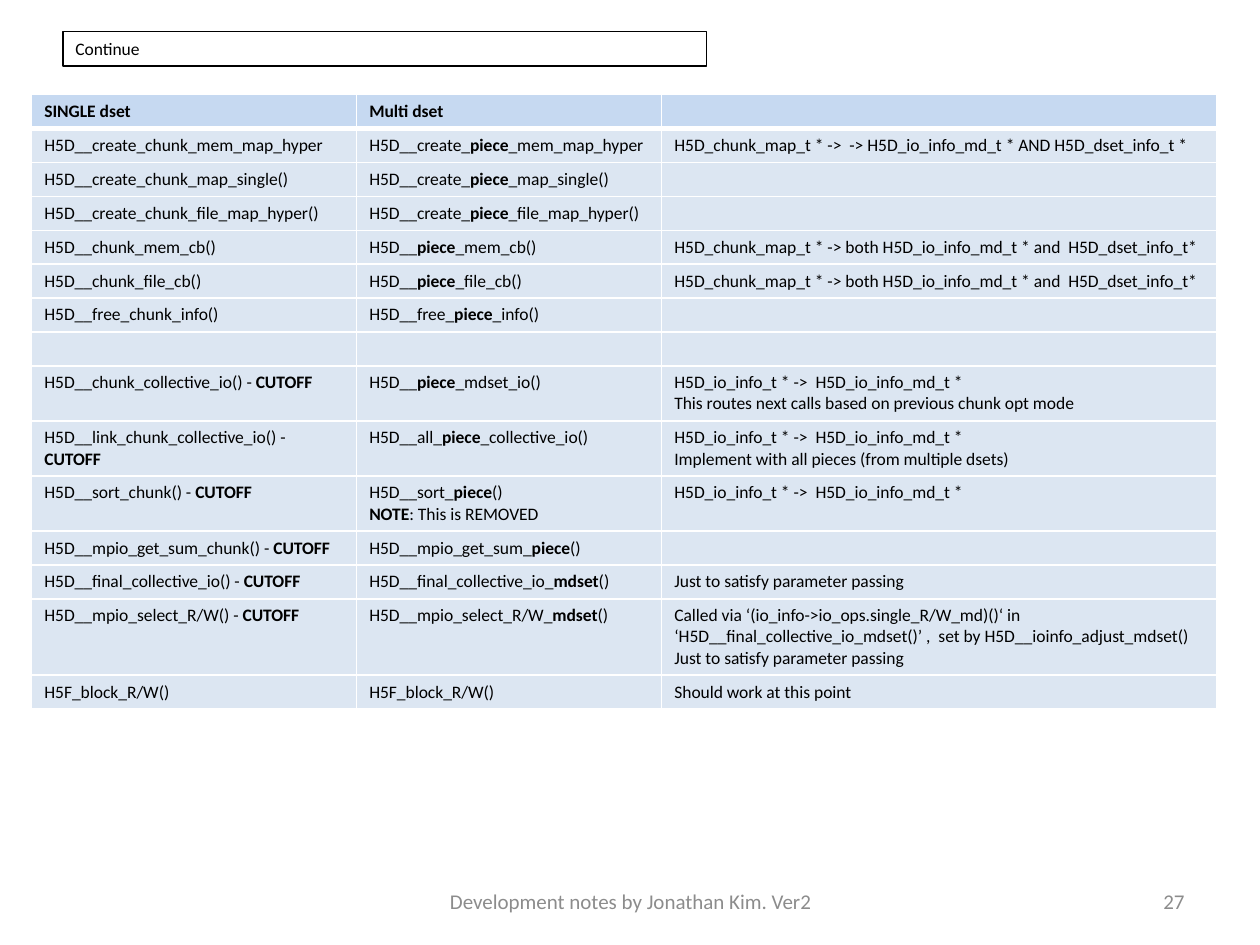
"""Build a slide that maps single-dataset functions to multi-dataset ones."""
from lxml import etree
from pptx import Presentation
from pptx.dml.color import RGBColor
from pptx.enum.shapes import MSO_SHAPE
from pptx.enum.text import MSO_ANCHOR, PP_ALIGN
from pptx.oxml.ns import qn
from pptx.util import Cm, Pt

RECT = MSO_SHAPE.RECTANGLE
MIDDLE = MSO_ANCHOR.MIDDLE
LEFT, CENTER, RIGHT = PP_ALIGN.LEFT, PP_ALIGN.CENTER, PP_ALIGN.RIGHT

FONT = "Calibri"
BLACK, WHITE, GRAY = "000000", "FFFFFF", "8C8C8C"
HEAD_FILL, BODY_FILL = "C6D9F1", "DCE6F2"
COL_WIDTHS = (6.55, 6.15, 11.18)
LINE_H, CELL_PAD = 0.42, 0.26

BOTH = "H5D_chunk_map_t * -> both H5D_io_info_md_t * and  H5D_dset_info_t*"
TO_MD = "H5D_io_info_t * ->  H5D_io_info_md_t *"
PASSING = "Just to satisfy parameter passing"

# line count, single, multi, note; ** toggles bold
ROWS = [
    (1, "**SINGLE dset**", "**Multi dset**", ""),
    (1, "H5D__create_chunk_mem_map_hyper", "H5D__create_**piece**_mem_map_hyper",
     "H5D_chunk_map_t * ->  -> H5D_io_info_md_t * AND H5D_dset_info_t *"),
    (1, "H5D__create_chunk_map_single()", "H5D__create_**piece**_map_single()", ""),
    (1, "H5D__create_chunk_file_map_hyper()",
     "H5D__create_**piece**_file_map_hyper()", ""),
    (1, "H5D__chunk_mem_cb()", "H5D__**piece**_mem_cb()", BOTH),
    (1, "H5D__chunk_file_cb()", "H5D__**piece**_file_cb()", BOTH),
    (1, "H5D__free_chunk_info()", "H5D__free_**piece**_info()", ""),
    (1, "", "", ""),
    (2, "H5D__chunk_collective_io() - **CUTOFF**", "H5D__**piece**_mdset_io()",
     TO_MD + "\nThis routes next calls based on previous chunk opt mode"),
    (2, "H5D__link_chunk_collective_io() - **CUTOFF**",
     "H5D__all_**piece**_collective_io()",
     TO_MD + "\nImplement with all pieces (from multiple dsets)"),
    (2, "H5D__sort_chunk() - **CUTOFF**",
     "H5D__sort_**piece**()\n**NOTE**: This is REMOVED", TO_MD),
    (1, "H5D__mpio_get_sum_chunk() - **CUTOFF**",
     "H5D__mpio_get_sum_**piece**()", ""),
    (1, "H5D__final_collective_io() - **CUTOFF**",
     "H5D__final_collective_io_**mdset**()", PASSING),
    (3, "H5D__mpio_select_R/W() - **CUTOFF**", "H5D__mpio_select_R/W_**mdset**()",
     "Called via ‘(io_info->io_ops.single_R/W_md)()‘ in "
     "‘H5D__final_collective_io_mdset()’ ,  set by H5D__ioinfo_adjust_mdset()\n"
     + PASSING),
    (1, "H5F_block_R/W()", "H5F_block_R/W()", "Should work at this point"),
]
FOOTERS = [
    ("Development notes by Jonathan Kim. Ver2", 8.69, 8.05, CENTER),
    ("27", 18.21, 5.92, RIGHT),
]


def rgb(color):
    return RGBColor.from_string(color)


def write(tf, text, size=10, color=BLACK, align=LEFT):
    for i, line in enumerate(text.split("\n")):
        p = tf.add_paragraph() if i else tf.paragraphs[0]
        p.alignment = align
        for j, part in enumerate(line.split("**")):
            if part:
                r = p.add_run()
                r.text = part
                r.font.name, r.font.size = FONT, Pt(size)
                r.font.bold = j % 2 == 1
                r.font.color.rgb = rgb(color)
        if not line:
            etree.SubElement(p._p, qn("a:endParaRPr"), sz=str(size * 100))


def set_borders(cell, widths):
    tcPr = cell._tc.get_or_add_tcPr()
    for side, width in widths.items():
        ln = etree.SubElement(tcPr, qn("a:ln" + side), w=str(Pt(width)))
        fill = etree.SubElement(ln, qn("a:solidFill"))
        etree.SubElement(fill, qn("a:srgbClr"), val=WHITE)


def add_title(s):
    sp = s.shapes.add_shape(RECT, Cm(1.27), Cm(0.64), Cm(12.98), Cm(0.69))
    sp.shadow.inherit = False
    sp.fill.background()
    sp.line.color.rgb = rgb(BLACK)
    sp.line.width = Pt(0.75)
    sp.text_frame.word_wrap = True
    sp.text_frame.vertical_anchor = MSO_ANCHOR.TOP
    write(sp.text_frame, "Continue")


def add_mapping(s):
    heights = [CELL_PAD + LINE_H * row[0] for row in ROWS]
    table = s.shapes.add_table(len(ROWS), len(COL_WIDTHS), Cm(0.64), Cm(1.91),
                               Cm(sum(COL_WIDTHS)), Cm(sum(heights))).table
    for col, width in zip(table.columns, COL_WIDTHS):
        col.width = Cm(width)
    for i, (_, *texts) in enumerate(ROWS):
        table.rows[i].height = Cm(heights[i])
        for j, text in enumerate(texts):
            cell = table.cell(i, j)
            set_borders(cell, {"L": 1, "R": 1, "T": 3 if i == 1 else 1,
                               "B": 3 if i == 0 else 1})
            cell.fill.solid()
            cell.fill.fore_color.rgb = rgb(BODY_FILL if i else HEAD_FILL)
            write(cell.text_frame, text)


def add_footers(s):
    for text, left, width, align in FOOTERS:
        tf = s.shapes.add_textbox(Cm(left), Cm(17.65), Cm(width), Cm(1.02)).text_frame
        tf.word_wrap = True
        tf.vertical_anchor = MIDDLE
        write(tf, text, 12, GRAY, align)


def main():
    prs = Presentation()
    prs.slide_width, prs.slide_height = Cm(25.4), Cm(19.05)
    s = prs.slides.add_slide(prs.slide_layouts[6])
    add_title(s)
    add_mapping(s)
    add_footers(s)
    prs.save("out.pptx")


if __name__ == "__main__":
    main()
